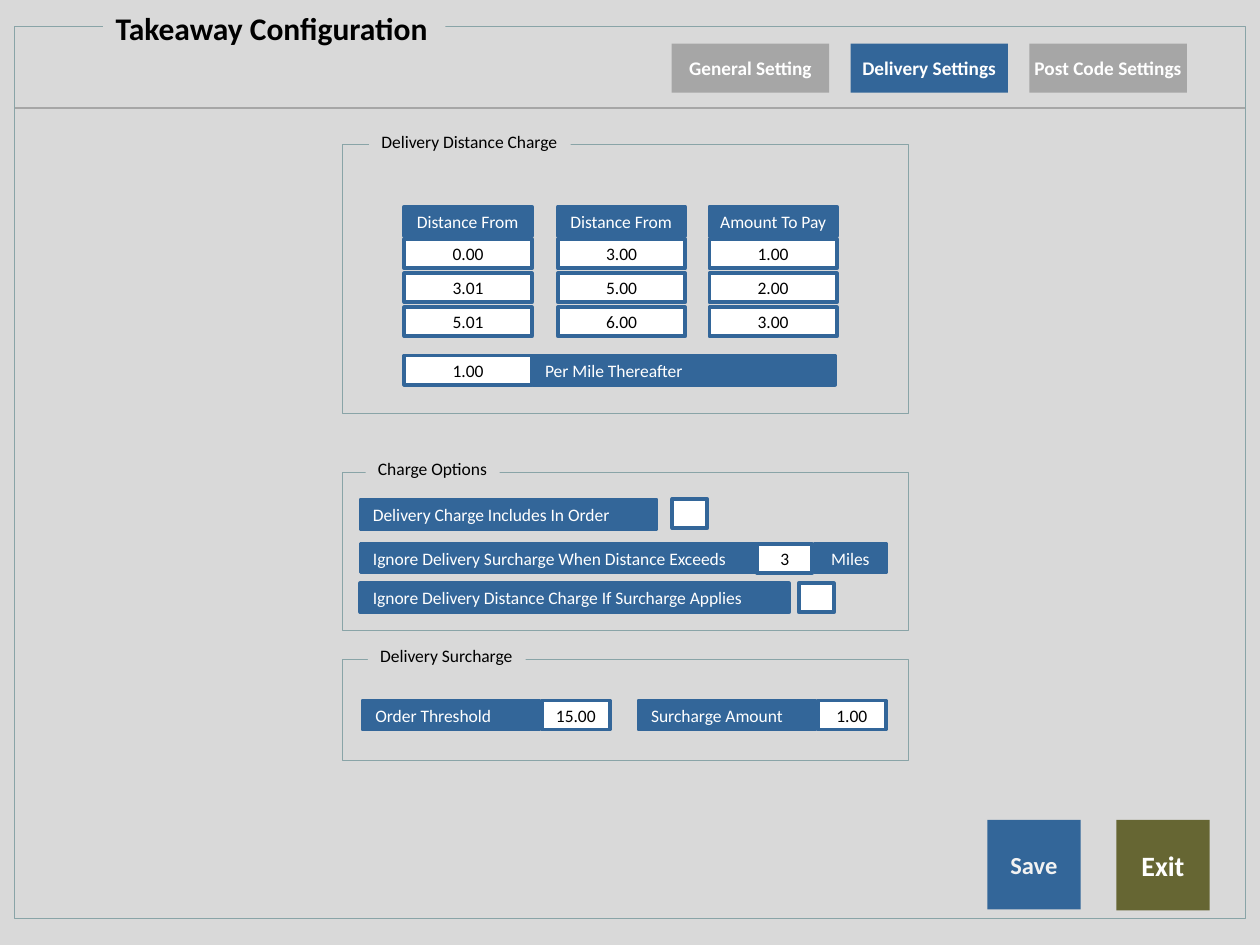
from dataclasses import dataclass

from lxml.etree import SubElement
from pptx import Presentation
from pptx.dml.color import RGBColor
from pptx.enum.shapes import MSO_CONNECTOR as Connector
from pptx.enum.shapes import MSO_SHAPE as Preset
from pptx.enum.text import MSO_ANCHOR as Anchor
from pptx.enum.text import MSO_AUTO_SIZE as AutoSize
from pptx.enum.text import PP_ALIGN as Align
from pptx.oxml.ns import qn
from pptx.slide import Slide
from pptx.util import Pt

FONT = "Calibri"
BLUE, OLIVE, GREY = "336699", "666633", "A6A6A6"
BACKGROUND, FRAME = "D9D9D9", "89A4A7"
WHITE, PALE, BLACK = "FFFFFF", "F2F2F2", "000000"

FIELD_HEIGHT = 16.6
GROUP_LEFT, GROUP_WIDTH = 195.8, 323.3
COLUMN_WIDTH, ROW_PITCH = 72.7, 19.4
TABLE_TOP, FIRST_ROW_TOP = 118.1, 136.8
TAB_LEFT, TAB_PITCH = 383.8, 102.2


@dataclass(frozen=True)
class Box:
    left: float
    top: float
    width: float
    height: float = FIELD_HEIGHT


@dataclass(frozen=True)
class TextStyle:
    color: str
    size: float = 10
    bold: bool = False
    align: Align = Align.CENTER
    anchor: Anchor = Anchor.MIDDLE
    fit: bool = False


@dataclass(frozen=True)
class Group:
    top: float
    height: float
    caption: str
    caption_left: float
    caption_width: float


@dataclass(frozen=True)
class Column:
    left: float
    header: str
    values: tuple[str, ...]
    align: Align = Align.LEFT


@dataclass(frozen=True)
class Field:
    box: Box
    text: str
    align: Align = Align.LEFT
    editable: bool = False


GROUPS = (
    Group(82.7, 153.6, "Delivery Distance Charge", 210.9, 115.2),
    Group(269.9, 90.7, "Charge Options", 208.9, 76.6),
    Group(376.7, 57.7, "Delivery Surcharge", 210.2, 90.2),
)
COLUMNS = (
    Column(231.1, "Distance From", ("0.00", "3.01", "5.01")),
    Column(318.8, "Distance From", ("3.00", "5.00", "6.00")),
    Column(405.4, "Amount To Pay", ("1.00", "2.00", "3.00"), Align.CENTER),
)
FIELDS = (
    Field(Box(231.1, 203.2, COLUMN_WIDTH), "1.00", Align.CENTER, True),
    Field(Box(304.4, 203.2, 172.8), "Per Mile Thereafter"),
    Field(Box(206, 285.6, 169.2), "Delivery Charge Includes In Order"),
    Field(Box(384.2, 285.2, 20), "", Align.CENTER, True),
    Field(Box(206, 310.6, 226), "Ignore Delivery Surcharge When Distance Exceeds"),
    Field(Box(432.6, 310.8, 31.7), "3", Align.CENTER, True),
    Field(Box(465.8, 310.6, 40.3), "Miles", Align.CENTER),
    Field(Box(206, 333.3, 244.8), "Ignore Delivery Distance Charge If Surcharge Applies"),
    Field(Box(456.5, 333.3, 20), "", Align.CENTER, True),
    Field(Box(207.4, 400.3, 100.4), "Order Threshold"),
    Field(Box(309.6, 400.3, 38.9), "15.00", Align.CENTER, True),
    Field(Box(365, 400.3, 100.8), "Surcharge Amount"),
    Field(Box(467.3, 400.3, 38.9), "1.00", Align.CENTER, True),
)
TABS = (("General Setting", GREY), ("Delivery Settings", BLUE), ("Post Code Settings", GREY))


def rgb(color: str) -> RGBColor:
    return RGBColor.from_string(color)


def add_box(slide: Slide, box: Box, fill: str = "", line: str = "", line_width: float = 0,
            text: str = "", style: TextStyle = TextStyle(BLACK)) -> None:
    shape = slide.shapes.add_shape(
        Preset.RECTANGLE, Pt(box.left), Pt(box.top), Pt(box.width), Pt(box.height))
    shape.shadow.inherit = False
    if fill:
        shape.fill.solid()
        shape.fill.fore_color.rgb = rgb(fill)
    else:
        shape.fill.background()
    if line:
        shape.line.color.rgb = rgb(line)
        shape.line.width = Pt(line_width)
    else:
        shape.line.fill.background()
    if text:
        text_frame = shape.text_frame
        text_frame.text = text
        text_frame.word_wrap = False
        text_frame.vertical_anchor = style.anchor
        text_frame.auto_size = AutoSize.SHAPE_TO_FIT_TEXT if style.fit else AutoSize.NONE
        paragraph = text_frame.paragraphs[0]
        paragraph.alignment = style.align
        font = paragraph.runs[0].font
        font.name, font.size, font.bold = FONT, Pt(style.size), style.bold
        font.color.rgb = rgb(style.color)


def add_frame(slide: Slide, frame: Box, caption: Box, text: str,
              size: float = 10, bold: bool = False) -> None:
    add_box(slide, frame, line=FRAME, line_width=0.5)
    style = TextStyle(BLACK, size, bold, Align.LEFT, Anchor.TOP, True)
    add_box(slide, caption, BACKGROUND, text=text, style=style)


def add_group(slide: Slide, group: Group) -> None:
    caption = Box(group.caption_left, group.top - 11.5, group.caption_width, 19.4)
    add_frame(slide, Box(GROUP_LEFT, group.top, GROUP_WIDTH, group.height),
              caption, group.caption)


def add_field(slide: Slide, field: Field) -> None:
    fill, color = (WHITE, BLACK) if field.editable else (BLUE, WHITE)
    add_box(slide, field.box, fill, BLUE, 2.25, field.text, TextStyle(color, align=field.align))


def add_column(slide: Slide, column: Column) -> None:
    header = Box(column.left, TABLE_TOP, COLUMN_WIDTH)
    add_field(slide, Field(header, column.header, column.align))
    for row, value in enumerate(column.values):
        cell = Box(column.left, FIRST_ROW_TOP + row * ROW_PITCH, COLUMN_WIDTH)
        add_field(slide, Field(cell, value, Align.CENTER, True))


def add_divider(slide: Slide, left: float, right: float, top: float) -> None:
    connector = slide.shapes.add_connector(
        Connector.STRAIGHT, Pt(left), Pt(top), Pt(right), Pt(top))
    connector.line.color.rgb = rgb(GREY)
    connector.line.width = Pt(0.75)
    SubElement(connector.element.spPr, qn("a:effectLst"))


def main() -> None:
    presentation = Presentation()
    presentation.slide_width, presentation.slide_height = Pt(720), Pt(540)
    slide = presentation.slides.add_slide(presentation.slide_layouts[6])

    add_box(slide, Box(0, 0, 720, 540), BACKGROUND)
    add_frame(slide, Box(8.4, 15.1, 703.2, 509.7), Box(59, 1.4, 195.6, 29.1),
              "Takeaway Configuration", 18, True)
    add_divider(slide, 8.4, 711.6, 61.8)
    for index, (text, fill) in enumerate(TABS):
        tab = Box(TAB_LEFT + index * TAB_PITCH, 25, 90, 28)
        add_box(slide, tab, fill, text=text, style=TextStyle(WHITE, 11, True))

    for group in GROUPS:
        add_group(slide, group)
    for column in COLUMNS:
        add_column(slide, column)
    for field in FIELDS:
        add_field(slide, field)

    add_box(slide, Box(564.2, 468.5, 53.3, 51.2), BLUE, text="Save",
            style=TextStyle(PALE, 14, True))
    add_box(slide, Box(637.9, 468.5, 53.3, 51.8), OLIVE, text="Exit",
            style=TextStyle(WHITE, 16, True))
    presentation.save("out.pptx")


if __name__ == "__main__":
    main()
